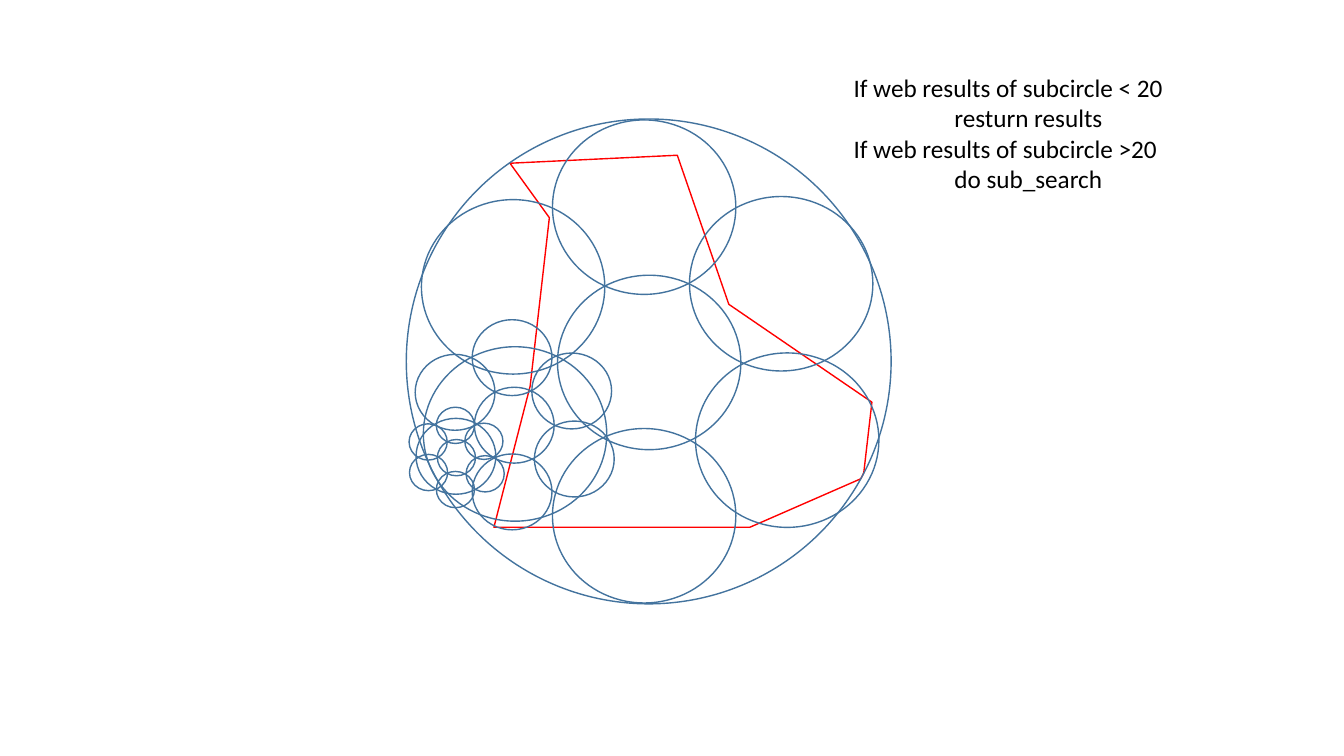
from dataclasses import dataclass

from pptx import Presentation
from pptx.dml.color import RGBColor
from pptx.enum.shapes import MSO_SHAPE
from pptx.enum.text import MSO_AUTO_SIZE
from pptx.util import Pt

CIRCLE_BLUE = "43739E"
AREA_RED = "FF0000"
TEXT_BLACK = "000000"


@dataclass(frozen=True)
class Circle:
    left: float
    top: float
    width: float
    height: float


@dataclass(frozen=True)
class Cluster:
    left: float
    top: float
    scale: float
    grouped: bool


@dataclass(frozen=True)
class RuleLine:
    wording: str
    indent: float


SEARCH_CIRCLE = Circle(290.2, 85, 346.3, 346.3)

# Seven subcircles at full scale, measured from the cluster's top left corner
SUBCIRCLE_WIDTH, SUBCIRCLE_HEIGHT = 131, 124.6
SUBCIRCLE_OFFSETS = [
    (93.6, 0),       # top
    (93.6, 220.4),   # bottom
    (97.2, 110.9),   # centre
    (191.5, 54.7),   # upper right
    (195.8, 166.4),  # lower right
    (0, 56.9),       # upper left
    (1.4, 162),      # lower left
]
CLUSTERS = [
    Cluster(301, 85.7, 1, False),
    Cluster(296.6, 228.4, 0.435, True),
    Cluster(292.2, 290.9, 0.208, True),
]

AREA_CORNERS = [
    (483.8, 110.9), (520.6, 217.4), (622.8, 287.3), (617, 337.7), (614.9, 342),
    (535.7, 376.6), (352.8, 376.6), (378.7, 275.8), (392.4, 155.5), (364.3, 116.6),
]

RULES = [
    RuleLine("If web results of subcircle < 20", 0),
    RuleLine("resturn results", 72),
    RuleLine("If web results of subcircle >20", 0),
    RuleLine("do sub_search", 72),
]


def color(hex_code: str) -> RGBColor:
    return RGBColor.from_string(hex_code)


def outline(shape, hex_code: str) -> None:
    shape.shadow.inherit = False
    shape.fill.background()
    shape.line.color.rgb = color(hex_code)
    shape.line.width = Pt(1)


def draw_circle(shapes, circle: Circle) -> None:
    ellipse = shapes.add_shape(
        MSO_SHAPE.OVAL, Pt(circle.left), Pt(circle.top), Pt(circle.width), Pt(circle.height)
    )
    outline(ellipse, CIRCLE_BLUE)


def draw_cluster(shapes, cluster: Cluster) -> None:
    target = shapes.add_group_shape().shapes if cluster.grouped else shapes
    for across, down in SUBCIRCLE_OFFSETS:
        draw_circle(target, Circle(
            cluster.left + across * cluster.scale,
            cluster.top + down * cluster.scale,
            SUBCIRCLE_WIDTH * cluster.scale,
            SUBCIRCLE_HEIGHT * cluster.scale,
        ))


def draw_area(shapes, corners: list[tuple[float, float]]) -> None:
    points = [(Pt(x), Pt(y)) for x, y in corners]
    builder = shapes.build_freeform(*points[0])
    builder.add_line_segments(points[1:], close=True)
    outline(builder.convert_to_shape(), AREA_RED)


def write_rules(shapes, rules: list[RuleLine]) -> None:
    frame = shapes.add_textbox(Pt(602.6), Pt(48.2), Pt(327.6), Pt(94.3)).text_frame
    frame.word_wrap = True
    frame.auto_size = MSO_AUTO_SIZE.SHAPE_TO_FIT_TEXT
    for number, rule in enumerate(rules):
        paragraph = frame.add_paragraph() if number else frame.paragraphs[0]
        if rule.indent:
            paragraph._p.get_or_add_pPr().set("marL", str(Pt(rule.indent)))
        run = paragraph.add_run()
        run.text = rule.wording
        run.font.name = "Calibri"
        run.font.size = Pt(18)
        run.font.color.rgb = color(TEXT_BLACK)


def main() -> None:
    deck = Presentation()
    deck.slide_width, deck.slide_height = Pt(960), Pt(540)
    blank_layout = deck.slide_layouts[6]
    shapes = deck.slides.add_slide(blank_layout).shapes

    # Search area, behind the circles
    draw_area(shapes, AREA_CORNERS)

    # Search circle and its nested subcircles
    draw_circle(shapes, SEARCH_CIRCLE)
    for cluster in CLUSTERS:
        draw_cluster(shapes, cluster)

    # Search rules
    write_rules(shapes, RULES)

    deck.save("out.pptx")


if __name__ == "__main__":
    main()
